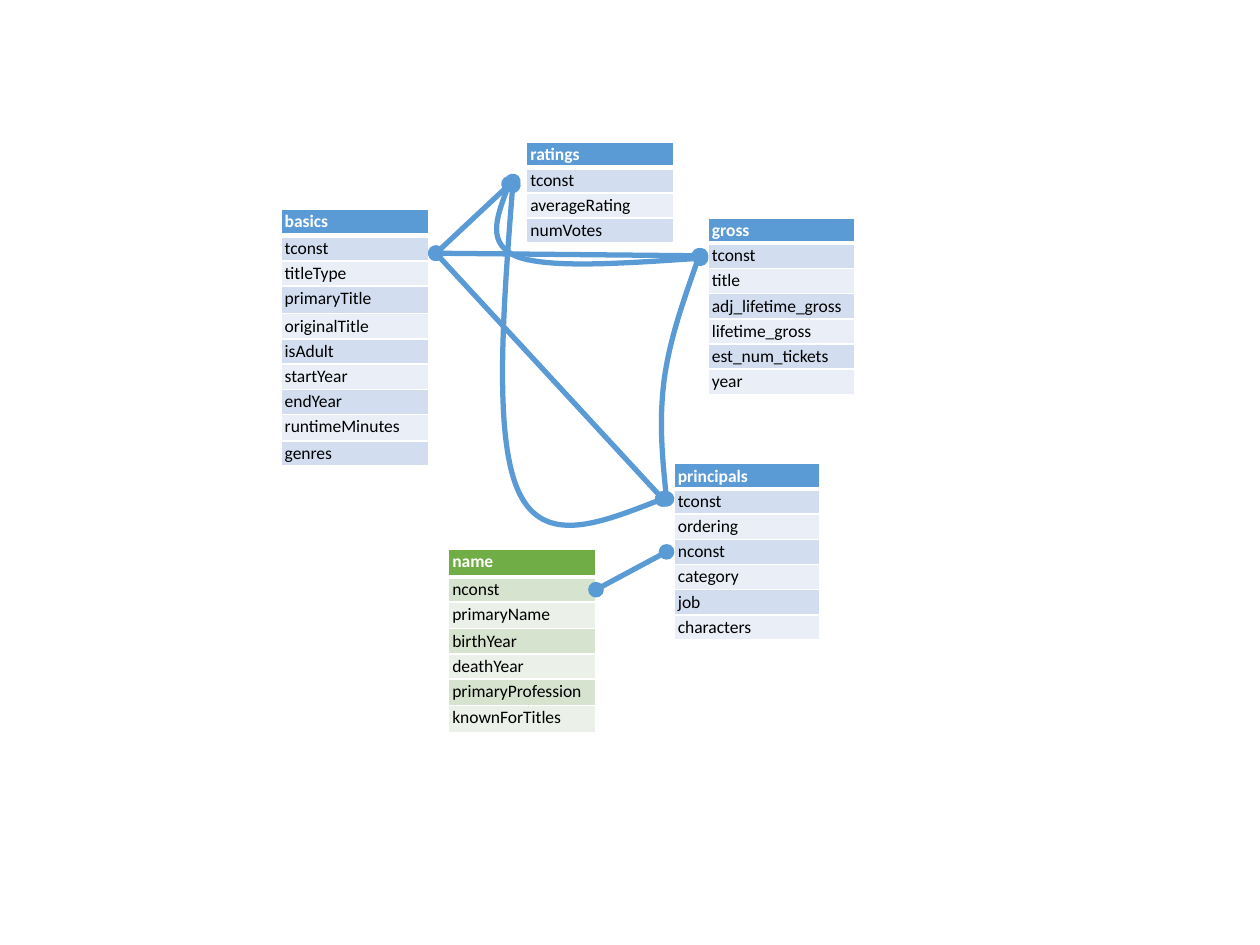
import pptx
import pptx.util
import pptx.dml.color
import pptx.enum.shapes
import pptx.oxml
import pptx.oxml.ns
from lxml import etree

Inches, Pt = pptx.util.Inches, pptx.util.Pt
qn, rgb = pptx.oxml.ns.qn, pptx.dml.color.RGBColor.from_string

theme = {
    "font": "Calibri", "size": 10, "head": "FFFFFF", "body": "000000",
    "rule": "FFFFFF", "thin": 1, "thick": 3, "link": "5B9BD5", "width": 3,
    "blue": ("5B9BD5", "D2DEEF", "EAEFF7"),
    "green": ("70AD47", "D5E3CF", "EBF1E9"),
}


def write(frame, text, color=theme["body"], bold=False):
    run = frame.paragraphs[0].add_run()
    run.text = text
    run.font.name, run.font.size = theme["font"], Pt(theme["size"])
    run.font.bold = bold
    run.font.color.rgb = rgb(color)


def dress(shape):
    """Give a link its line and a round dot at both ends."""
    shape.line.color.rgb = rgb(theme["link"])
    shape.line.width = Pt(theme["width"])
    line = shape.line._get_or_add_ln()
    for end in ("a:headEnd", "a:tailEnd"):
        etree.SubElement(line, qn(end), type="oval")
    props = shape._element.spPr
    if props.find(qn("a:effectLst")) is None:
        etree.SubElement(props, qn("a:effectLst"))


deck = pptx.Presentation()
deck.slide_width, deck.slide_height = Inches(10), Inches(7.5)
slide = deck.slides.add_slide(deck.slide_layouts[6])

# Tables: left, top, width, tone, heights of the rows that differ, names
row_high = 0.2
tables = [
    (2.23, 1.66, 1.17, "blue", {0: 0.21, 3: 0.22, 8: 0.21},
     "basics tconst titleType primaryTitle originalTitle isAdult "
     "startYear endYear runtimeMinutes genres"),
    (4.18, 1.13, 1.17, "blue", {}, "ratings tconst averageRating numVotes"),
    (5.35, 3.68, 1.16, "blue", {},
     "principals tconst ordering nconst category job characters"),
    (5.62, 1.73, 1.16, "blue", {},
     "gross tconst title adj_lifetime_gross lifetime_gross "
     "est_num_tickets year"),
    (3.56, 4.36, 1.17, "green", {0: 0.22, 2: 0.21, 5: 0.21, 6: 0.22},
     "name nconst primaryName birthYear deathYear primaryProfession "
     "knownForTitles"),
]
for left, top, width, tone, highs, names in tables:
    names = names.split()
    sizes = [highs.get(i, row_high) for i in range(len(names))]
    frame = slide.shapes.add_table(
        len(names), 1, Inches(left), Inches(top),
        Inches(width), Inches(sum(sizes)))
    grid = frame.table
    head, dark, light = theme[tone]
    for i, name in enumerate(names):
        grid.rows[i].height = Inches(sizes[i])
        cell = grid.cell(i, 0)
        cell.margin_left = cell.margin_right = Inches(0.03)
        cell.margin_top = cell.margin_bottom = Pt(1.1)
        # Borders go before the fill; the rule under the header is thick
        for side in "LRTB":
            thick = (i, side) in ((0, "B"), (1, "T"))
            points = theme["thick" if thick else "thin"]
            edge = etree.SubElement(cell._tc.get_or_add_tcPr(),
                                    qn("a:ln" + side), w=str(Pt(points)))
            fill = etree.SubElement(edge, qn("a:solidFill"))
            etree.SubElement(fill, qn("a:srgbClr"), val=theme["rule"])
        cell.fill.solid()
        cell.fill.fore_color.rgb = rgb(
            head if i == 0 else dark if i % 2 else light)
        write(cell.text_frame, name, bold=i == 0,
              color=theme["body" if i else "head"])

# Straight links between keys
basics = (3.46, 2.01)
links = [
    ((5.26, 3.96), basics),
    (basics, (4.07, 1.44)),
    (basics, (5.56, 2.03)),
    ((4.73, 4.68), (5.29, 4.38)),
]
for start, end in links:
    link = slide.shapes.add_connector(
        pptx.enum.shapes.MSO_CONNECTOR.STRAIGHT,
        *[Inches(n) for n in start + end])
    dress(link)

# Curved links: box, then start point and two Bezier segments
curves = [
    ((3.95, 1.46, 1.61, 0.64),
     [(5.56, 2.05), (4.96, 2.09), (4.37, 2.13), (4.11, 2.04),
      (3.86, 1.94), (3.95, 1.7), (4.04, 1.46)]),
    ((5.25, 2.03, 0.3, 1.93),
     [(5.55, 2.03), (5.43, 2.37), (5.31, 2.71), (5.27, 3.03),
      (5.23, 3.35), (5.26, 3.66), (5.29, 3.96)]),
    ((3.99, 1.47, 1.26, 2.69),
     [(5.26, 3.96), (4.79, 4.14), (4.32, 4.33), (4.12, 3.91),
      (3.92, 3.49), (3.99, 2.48), (4.07, 1.47)]),
]
for box, points in curves:
    spots = [(Inches(x), Inches(y)) for x, y in points]
    pen = slide.shapes.build_freeform(*spots[0])
    pen.add_line_segments(spots[1:], close=False)
    curve = pen.convert_to_shape()
    curve.left, curve.top, curve.width, curve.height = map(Inches, box)
    # Fit the outline to the box and join each three points into a curve
    route = curve._element.find(".//" + qn("a:path"))
    route.set("w", str(curve.width))
    route.set("h", str(curve.height))
    for dot, (x, y) in zip(route.iter(qn("a:pt")), spots):
        dot.set("x", str(x - curve.left))
        dot.set("y", str(y - curve.top))
    steps = route.findall(qn("a:lnTo"))
    for i in range(0, len(steps), 3):
        bend = etree.SubElement(route, qn("a:cubicBezTo"))
        for step in steps[i:i + 3]:
            bend.append(step[0])
            route.remove(step)
    curve.fill.background()
    curve.shadow.inherit = False
    dress(curve)

deck.save("out.pptx")
